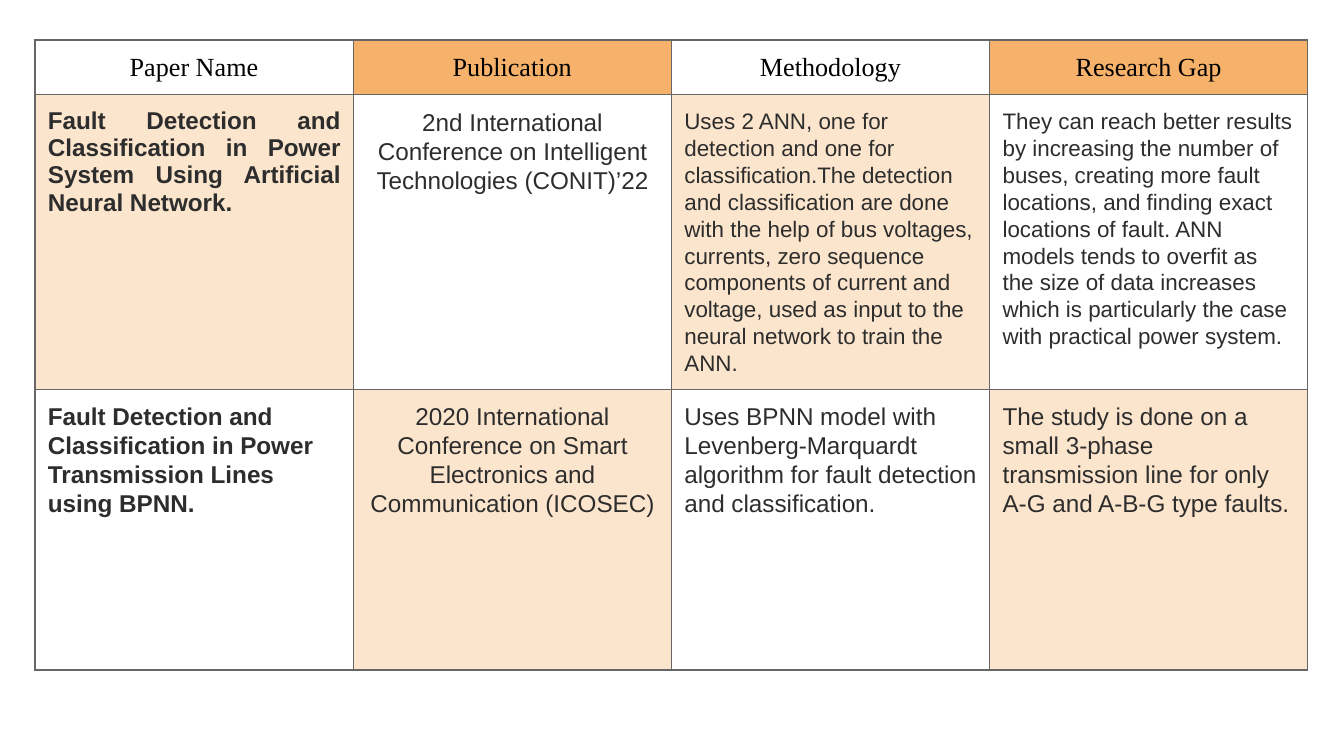
from lxml import etree
from pptx import Presentation
from pptx.dml.color import RGBColor
from pptx.enum.text import PP_ALIGN
from pptx.oxml.ns import qn
from pptx.util import Pt

LEFT, CENTER, JUSTIFY = PP_ALIGN.LEFT, PP_ALIGN.CENTER, PP_ALIGN.JUSTIFY
EMU_PER_PX = 914400 / 134.4
COLORS = {
    "header": "F6B26B",
    "body": "FCE5CD",
    "border": "666666",
    "heading": "000000",
    "text": "2D2D2D",
}
HEADINGS = ["Paper Name", "Publication", "Methodology", "Research Gap"]
PAPERS = [
    [
        "Fault Detection and Classification in Power System Using Artificial Neural Network.",
        "2nd International Conference on Intelligent\nTechnologies (CONIT)’22",
        "Uses 2 ANN, one for detection and one for classification.The detection and "
        "classification are done with the help of bus voltages, currents, zero sequence "
        "components of current and voltage, used as input to the neural network to train "
        "the ANN.",
        "They can reach better results by increasing the number of buses, creating more "
        "fault locations, and finding exact locations of fault. ANN models tends to overfit "
        "as the size of data increases which is particularly the case with practical power "
        "system.",
    ],
    [
        "Fault Detection and Classification in Power Transmission Lines using BPNN.",
        "2020 International Conference on Smart Electronics and Communication (ICOSEC)",
        "Uses BPNN model with Levenberg-Marquardt algorithm for fault detection and "
        "classification.",
        "The study is done on a small 3-phase transmission line for only A-G and A-B-G "
        "type faults.",
    ],
]
ROW_HEIGHTS = [51, 292, 281]
TABLE_LEFT, TABLE_TOP, TABLE_WIDTH = 35, 40, 1273
CELL_MARGIN = 13


def px(length):
    return round(length * EMU_PER_PX)


def add_borders(cell):
    properties = cell._tc.get_or_add_tcPr()
    for position, side in enumerate(("a:lnL", "a:lnR", "a:lnT", "a:lnB")):
        line = etree.Element(qn(side), w=str(Pt(0.75)))
        fill = etree.SubElement(line, qn("a:solidFill"))
        etree.SubElement(fill, qn("a:srgbClr"), val=COLORS["border"])
        properties.insert(position, line)


def style_cell(cell, fill_color):
    cell.margin_left = cell.margin_right = px(CELL_MARGIN)
    cell.margin_top = cell.margin_bottom = px(CELL_MARGIN)
    if fill_color:
        cell.fill.solid()
        cell.fill.fore_color.rgb = RGBColor.from_string(fill_color)
    else:
        cell.fill.background()
    add_borders(cell)


def write_cell(cell, text, font_name, size, color, align, spacing=None, bold=False):
    cell.text_frame.text = text
    for paragraph in cell.text_frame.paragraphs:
        paragraph.alignment = align
        if spacing:
            paragraph.line_spacing = spacing
        for run in paragraph.runs:
            run.font.name = font_name
            run.font.size = Pt(size)
            run.font.bold = bold
            run.font.color.rgb = RGBColor.from_string(color)


def write_heading(cell, heading):
    write_cell(cell, heading, "Times New Roman", 14, COLORS["heading"], CENTER)


def write_finding(cell, finding, row, column):
    justified = (row, column) == (1, 0)
    align = JUSTIFY if justified else CENTER if column == 1 else LEFT
    size = 12 if row == 1 and column >= 2 else 13
    spacing = None if justified else 1.07
    write_cell(cell, finding, "Arial", size, COLORS["text"], align, spacing, column == 0)


def add_literature_table(slide):
    entries = [HEADINGS] + PAPERS
    table = slide.shapes.add_table(
        len(entries), len(HEADINGS), px(TABLE_LEFT), px(TABLE_TOP),
        px(TABLE_WIDTH), px(sum(ROW_HEIGHTS)),
    ).table
    table.first_row = table.horz_banding = False
    for column in table.columns:
        column.width = px(TABLE_WIDTH) // len(HEADINGS)
    for row, height in zip(table.rows, ROW_HEIGHTS):
        row.height = px(height)
    for row, texts in enumerate(entries):
        shade = COLORS["body" if row else "header"]
        for column, text in enumerate(texts):
            cell = table.cell(row, column)
            style_cell(cell, shade if (row + column) % 2 else None)
            if row:
                write_finding(cell, text, row, column)
            else:
                write_heading(cell, text)


def main():
    presentation = Presentation()
    presentation.slide_width, presentation.slide_height = px(1344), px(756)
    slide = presentation.slides.add_slide(presentation.slide_layouts[6])
    add_literature_table(slide)
    presentation.save("out.pptx")


if __name__ == "__main__":
    main()
